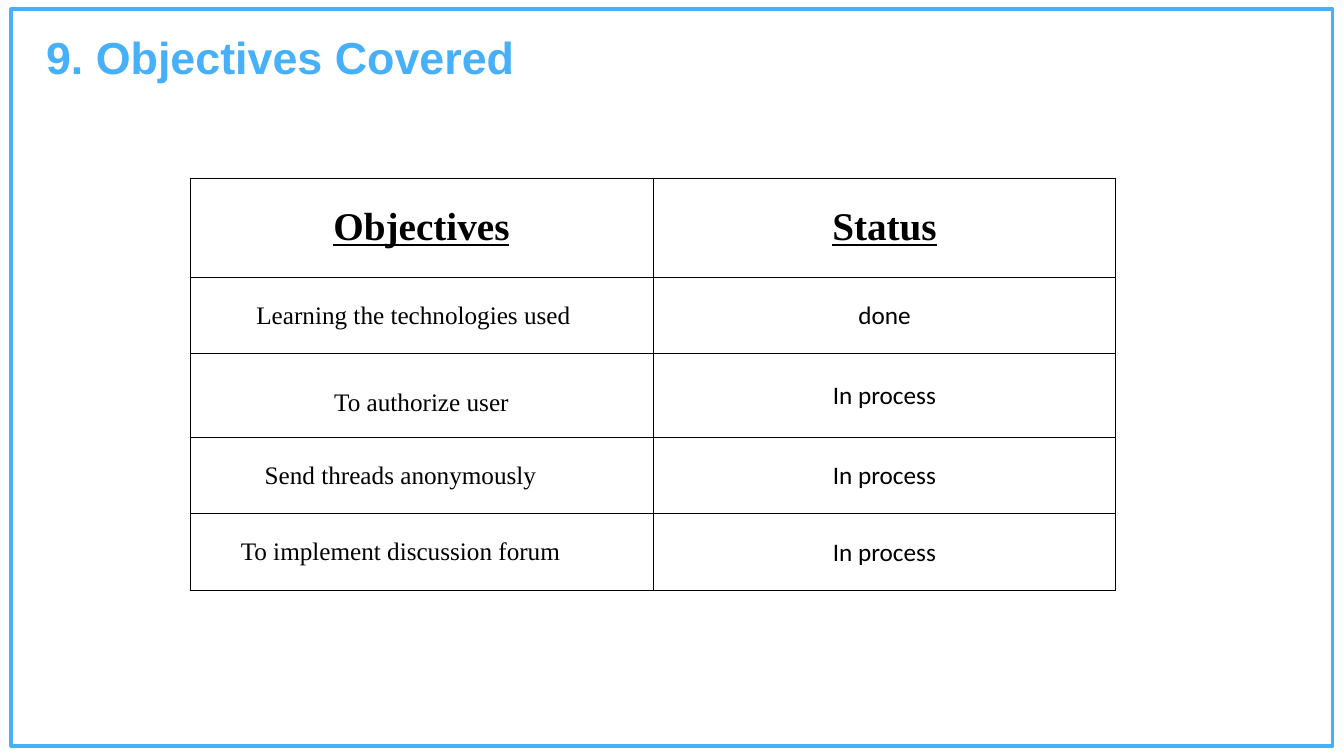
import pptx
import pptx.util
import pptx.dml.color
import pptx.enum.shapes
import pptx.enum.text
import lxml.etree
import pptx.oxml.ns

SCALE = 914400 / 100.8
COLOURS = {"frame": "46B0F9", "title": "46B0FA", "ink": "000000"}
INSET = 7


def px(length):
    return pptx.util.Emu(round(length * SCALE))


def add_span(para, text, font, size, colour, bold=False, underline=False):
    span = para.add_run()
    span.text = text
    span.font.name = font
    span.font.size = pptx.util.Pt(size)
    span.font.bold = bold
    span.font.underline = underline
    span.font.color.rgb = pptx.dml.color.RGBColor.from_string(COLOURS[colour])


deck = pptx.Presentation()
deck.slide_width, deck.slide_height = px(1344), px(756)
page = deck.slides.add_slide(deck.slide_layouts[5])

title = page.shapes.title
title.left, title.top, title.width, title.height = px(36), px(24), px(831), px(65)
title.text_frame.vertical_anchor = pptx.enum.text.MSO_ANCHOR.MIDDLE
title.text_frame.word_wrap = True
title_para = title.text_frame.paragraphs[0]
title_para.alignment = pptx.enum.text.PP_ALIGN.LEFT
add_span(title_para, "9. Objectives Covered", "Arial", 32, "title", bold=True)

frame = page.shapes.add_shape(
    pptx.enum.shapes.MSO_SHAPE.RECTANGLE, px(11), px(9), px(1322), px(737))
frame.shadow.inherit = False
frame.fill.background()
frame.line.color.rgb = pptx.dml.color.RGBColor.from_string(COLOURS["frame"])
frame.line.width = pptx.util.Pt(2.25)
title.element.addprevious(frame.element)

objectives = [
    ("Objectives", "Status", 99, 0, 1),
    ("Learning the technologies used", "done", 77, 16, 1),
    ("To authorize user", "In process", 84, 0, 1.5),
    ("Send threads anonymously", "In process", 76, 42, 1),
    ("To implement discussion forum", "In process", 77, 42, 1),
]
table_height = sum(entry[2] for entry in objectives)
table = page.shapes.add_table(
    len(objectives), 2, px(190), px(178), px(926), px(table_height)).table
table.first_row = False
table.horz_banding = False
for column in table.columns:
    column.width = px(463)

for row, (objective, status, height, shift, spacing) in enumerate(objectives):
    table.rows[row].height = px(height)
    header = row == 0
    for col, text in enumerate((objective, status)):
        cell = table.cell(row, col)
        cell.vertical_anchor = pptx.enum.text.MSO_ANCHOR.MIDDLE
        cell.margin_left = cell.margin_top = cell.margin_bottom = px(INSET)
        cell.margin_right = px(INSET + (shift if col == 0 else 0))
        para = cell.text_frame.paragraphs[0]
        para.alignment = pptx.enum.text.PP_ALIGN.CENTER
        if col == 0:
            para.line_spacing = spacing
        font = "Times New Roman" if header or col == 0 else "Calibri"
        add_span(para, text, font, 28 if header else 18, "ink", header, header)
        properties = cell._tc.get_or_add_tcPr()
        for side in ("lnL", "lnR", "lnT", "lnB"):
            border = lxml.etree.SubElement(
                properties, pptx.oxml.ns.qn("a:" + side), w=str(pptx.util.Pt(0.75)))
            paint = lxml.etree.SubElement(border, pptx.oxml.ns.qn("a:solidFill"))
            lxml.etree.SubElement(
                paint, pptx.oxml.ns.qn("a:srgbClr"), val=COLOURS["ink"])
        cell.fill.background()

deck.save("out.pptx")
